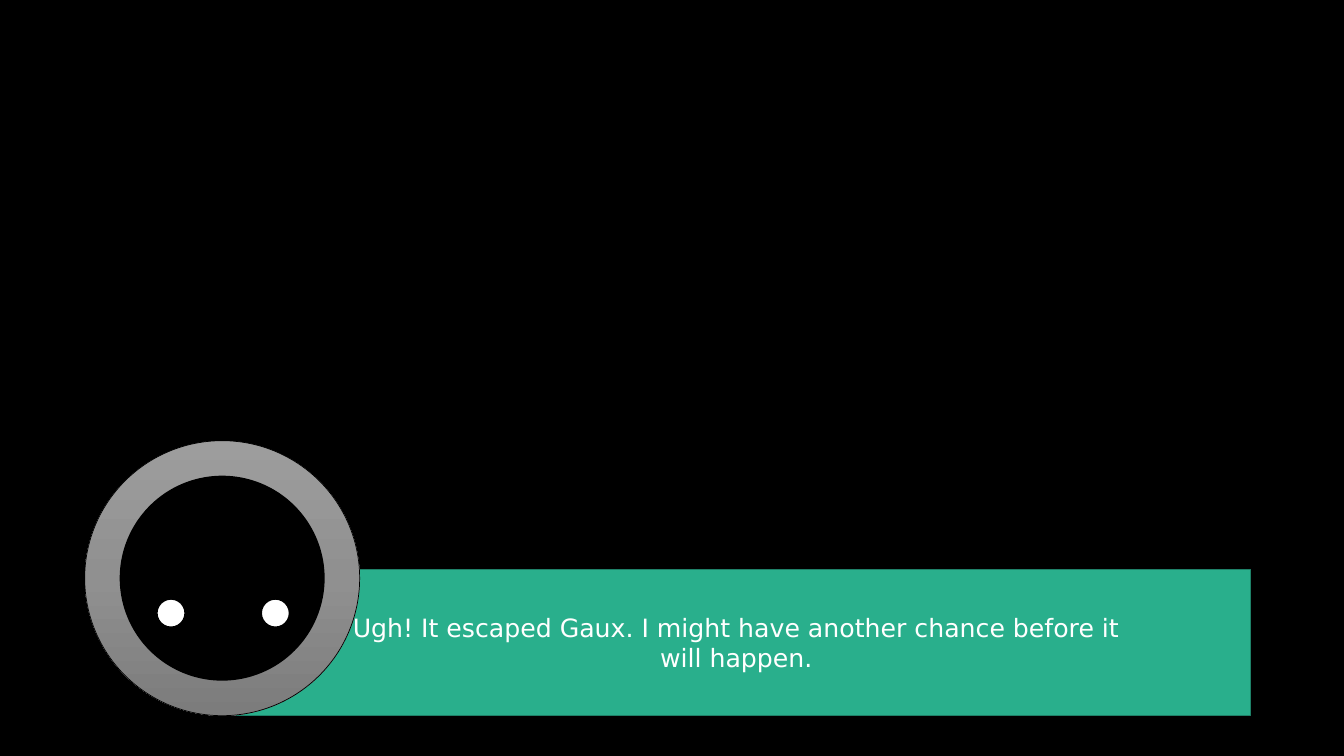
from copy import deepcopy

from pptx import Presentation
from pptx.dml.color import RGBColor
from pptx.enum.shapes import MSO_SHAPE
from pptx.enum.text import MSO_ANCHOR, PP_ALIGN
from pptx.util import Cm, Pt

RECTANGLE = MSO_SHAPE.RECTANGLE
OVAL = MSO_SHAPE.OVAL
MIDDLE = MSO_ANCHOR.MIDDLE
CENTER = PP_ALIGN.CENTER

BLACK = "000000"
WHITE = "FFFFFF"
GREEN = "29AF8C"
DARK_GREEN = "1E8168"
RING_GREYS = ("9D9D9D", "909090", "7C7C7C")


def color(value):
    """Turn a hex string into a colour."""
    return RGBColor.from_string(value)


class SlideBuilder:
    """Hold the text style and the current slide."""

    font_name = "DejaVu Sans"
    font_size = 18

    def __init__(self, page, background):
        """Keep the slide and paint its background."""
        self.page = page
        page.background.fill.solid()
        page.background.fill.fore_color.rgb = color(background)

    def shape(self, kind, left, top, width, height, fill, line, weight=1):
        """Add a filled and outlined shape, measured in centimetres."""
        shape = self.page.shapes.add_shape(
            kind, Cm(left), Cm(top), Cm(width), Cm(height))
        shape.shadow.inherit = False
        shape.fill.solid()
        shape.fill.fore_color.rgb = color(fill)
        shape.line.color.rgb = color(line)
        shape.line.width = Pt(weight)
        return shape

    def circle(self, center_x, center_y, diameter, fill, weight=1):
        """Add a black-edged circle around a centre point."""
        radius = diameter / 2
        return self.shape(OVAL, center_x - radius, center_y - radius,
                          diameter, diameter, fill, BLACK, weight)

    def gradient(self, shape, shades):
        """Fill a shape from top to bottom with evenly spaced shades."""
        shape.fill.gradient()
        shape.fill.gradient_angle = 270
        first = shape._element.spPr.xpath("./a:gradFill/a:gsLst/a:gs")[0]
        for _ in shades[2:]:
            first.addnext(deepcopy(first))
        for index, (stop, shade) in enumerate(
                zip(shape.fill.gradient_stops, shades)):
            stop.position = index / (len(shades) - 1)
            stop.color.rgb = color(shade)

    def text(self, shape, lines):
        """Write centred white lines in a shape."""
        frame = shape.text_frame
        frame.word_wrap = True
        frame.vertical_anchor = MIDDLE
        frame.text = "\n".join(lines)
        for para in frame.paragraphs:
            para.alignment = CENTER
            para.font.name = self.font_name
            para.font.size = Pt(self.font_size)
            para.font.color.rgb = color(WHITE)


def main():
    """Build and save the dialogue slide."""
    deck = Presentation()
    deck.slide_width, deck.slide_height = Cm(33.87), Cm(19.05)
    page = deck.slides.add_slide(deck.slide_layouts[6])
    builder = SlideBuilder(page, BLACK)

    speech = builder.shape(RECTANGLE, 5.59, 14.35, 25.93, 3.68,
                           GREEN, DARK_GREEN)
    builder.text(speech, (
        "Ugh! It escaped Gaux. I might have another chance before it",
        "will happen.",
    ))

    head_x, head_y = 5.6, 14.57
    ring = builder.circle(head_x, head_y, 6.93, BLACK, 0.5)
    builder.gradient(ring, RING_GREYS)
    builder.circle(head_x, head_y, 5.13, BLACK)
    for eye_x in (6.94, 4.31):
        builder.circle(eye_x, 15.45, 0.71, WHITE)

    deck.save("out.pptx")


if __name__ == "__main__":
    main()
